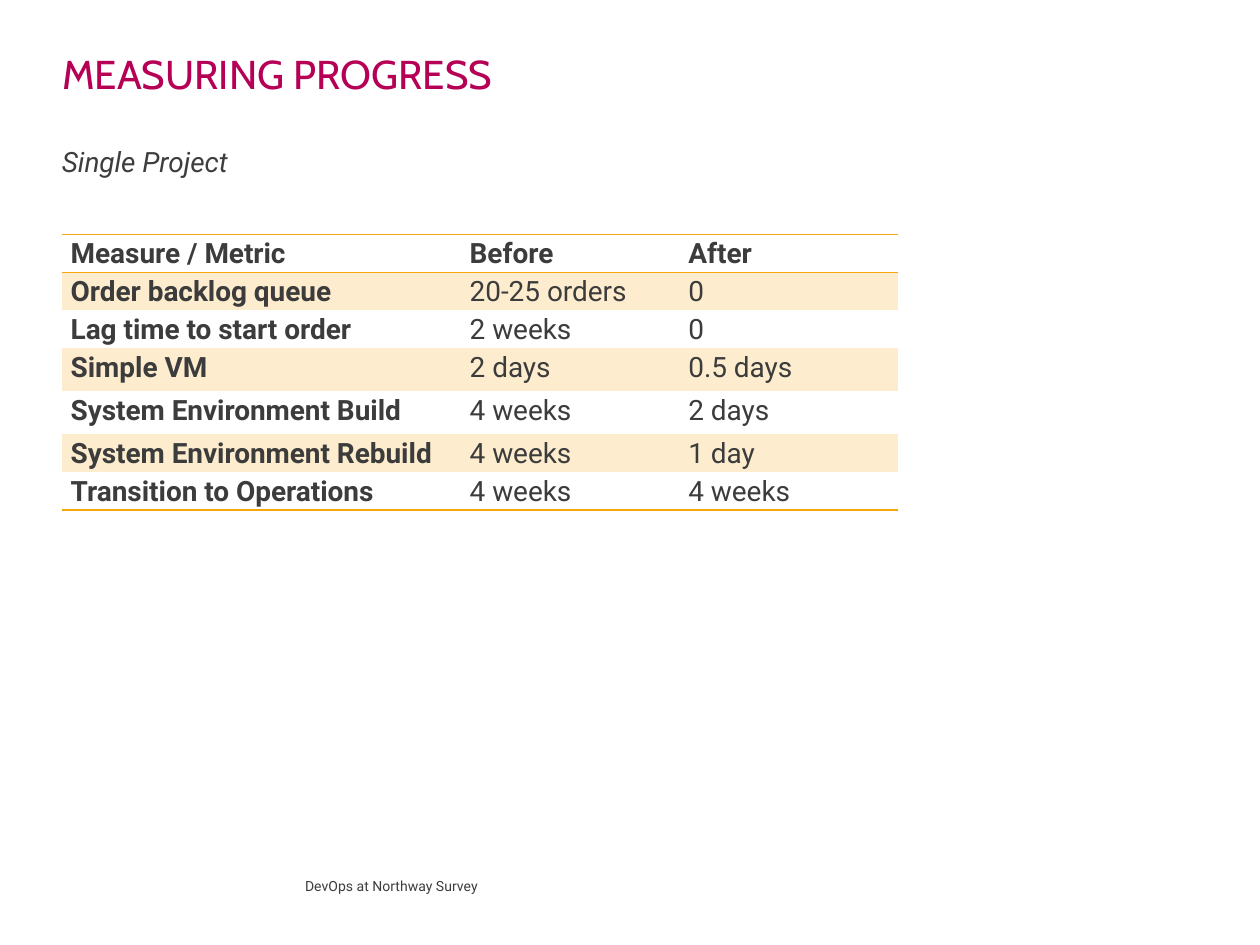
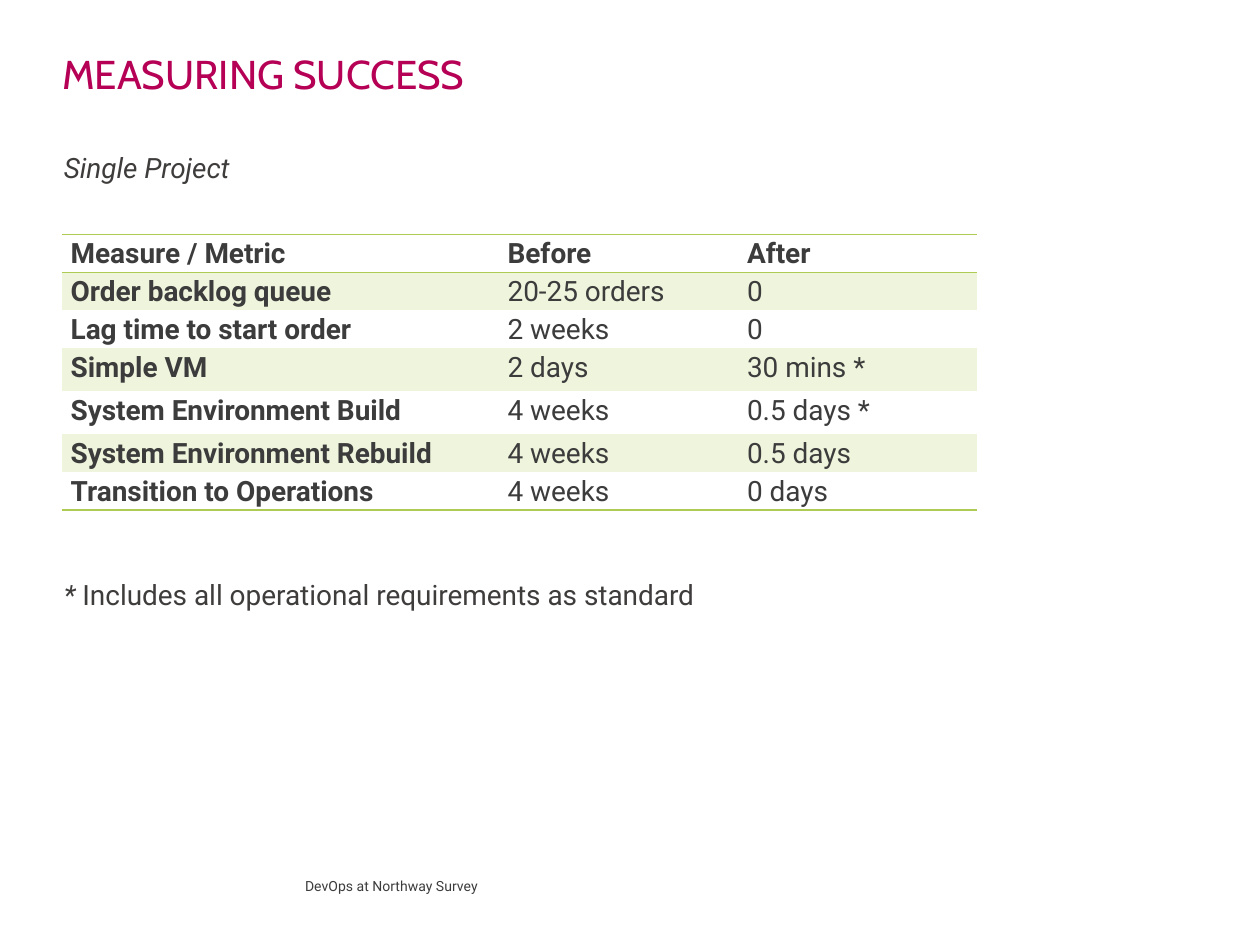
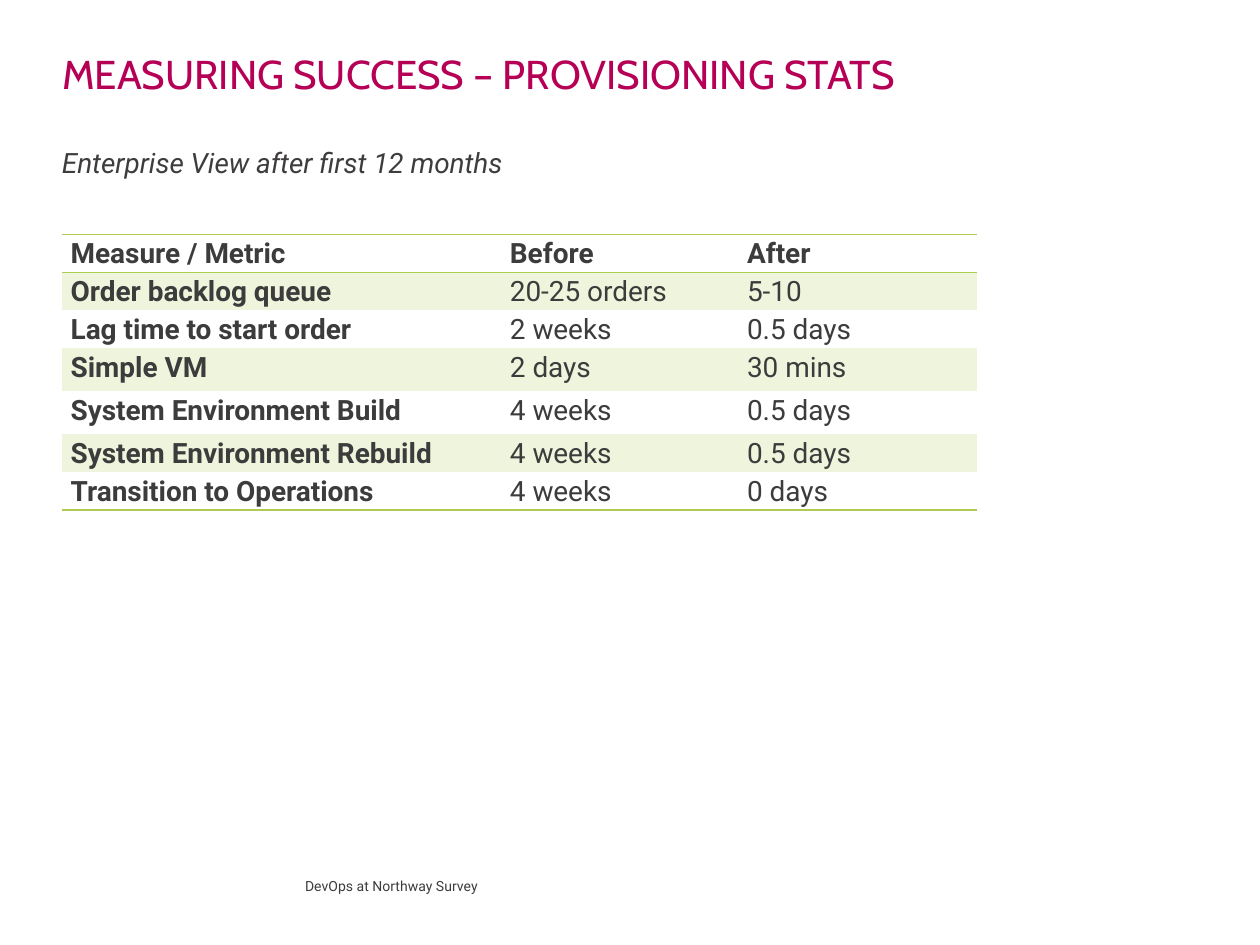
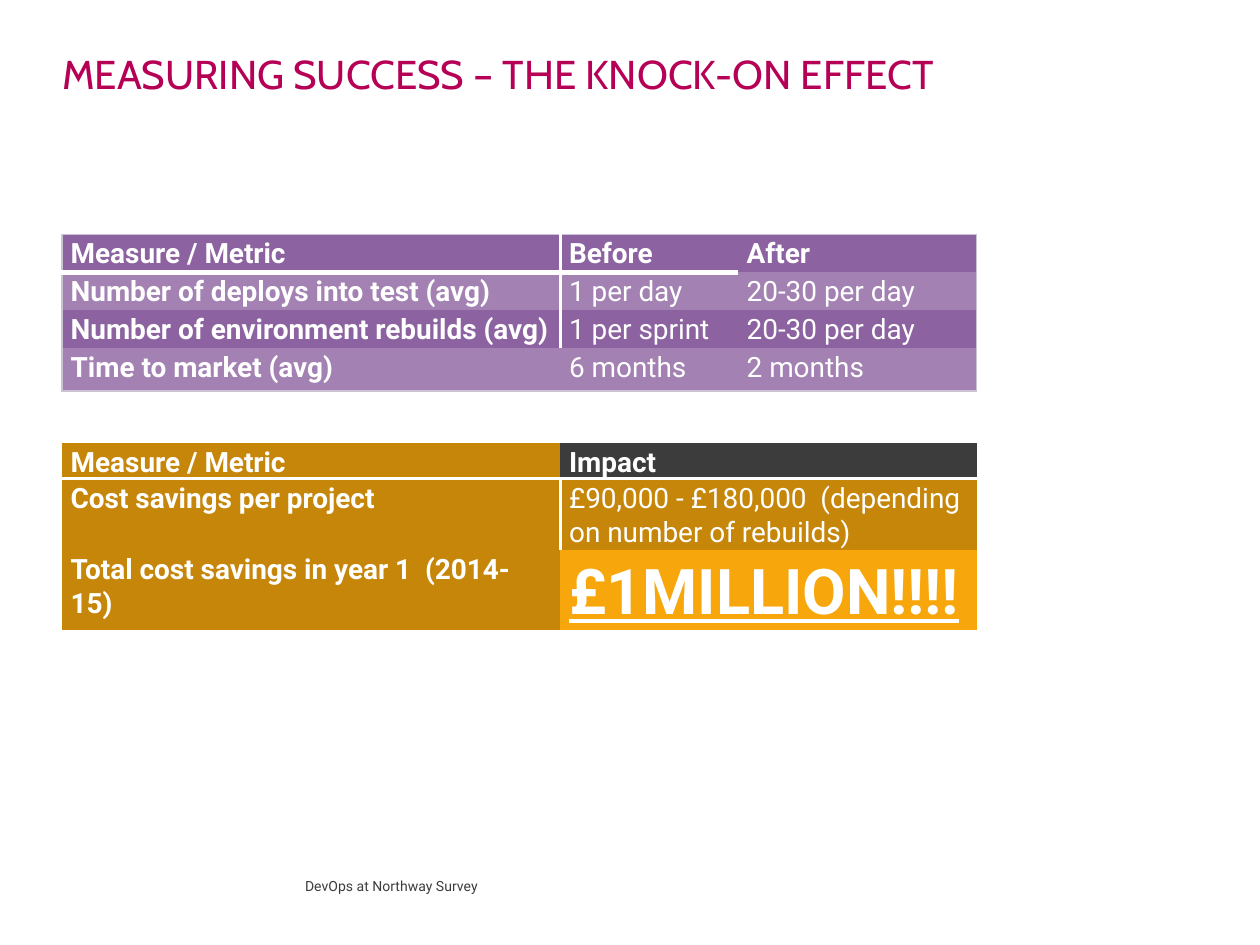
from dataclasses import dataclass, field

from lxml import etree
from pptx import Presentation
from pptx import util as u
from pptx.dml.color import RGBColor
from pptx.enum import text as t
from pptx.oxml.ns import qn

Pt = u.Pt

HUES = {
    "title": "B50056",
    "ink": "3C3C3C",
    "note": "3F3C3C",
    "white": "FFFFFF",
    "amber": "F7A70B",
    "cream": "FDEDCE",
    "ochre": "C68609",
    "lime": "AECC53",
    "mint": "EFF5DD",
    "plum": "8C63A0",
    "lilac": "A382B3",
    "frame": "CCC3D2",
}
HEAD_FONT, BODY_FONT = "Cabin", "Roboto"
LEFT = 35.4
TABLE_TOP = 133.9
NO_STYLE = "{2D5ABB26-0587-4C30-8999-92F81FD0307C}"
SIDES = {"l": "a:lnL", "r": "a:lnR", "t": "a:lnT", "b": "a:lnB"}
FOOTER = "DevOps at Northway Survey"
LABELS = (
    "Order backlog queue",
    "Lag time to start order",
    "Simple VM",
    "System Environment Build",
    "System Environment Rebuild",
    "Transition to Operations",
)
BEFORE = ("20-25 orders", "2 weeks", "2 days", "4 weeks", "4 weeks", "4 weeks")
HEADS = ("Measure / Metric", "Before", "After")


@dataclass(frozen=True)
class Run:
    text: str
    size: float = 16
    hue: str = "ink"
    font: str = BODY_FONT
    bold: bool = False
    slant: bool = False
    under: bool = False


@dataclass(frozen=True)
class Line:
    runs: tuple[Run, ...]
    gap: float = 0


@dataclass(frozen=True)
class Box:
    left: float
    top: float
    width: float
    height: float
    insets: tuple[float, float, float, float] = (0, 0, 0, 0)
    middle: bool = False


@dataclass(frozen=True)
class Edge:
    hue: str
    width: float


@dataclass(frozen=True)
class Grid:
    top: float
    cols: tuple[float, ...]
    rows: tuple[float, ...]
    texts: tuple[tuple[str, ...], ...]
    fills: tuple[tuple[str | None, ...], ...]
    edges: dict[tuple[int, int], dict[str, Edge]] = field(default_factory=dict)
    ink: str = "ink"
    big: tuple[int, int] | None = None


@dataclass(frozen=True)
class Page:
    title: str
    grids: tuple[Grid, ...]
    note: Box | None = None
    lines: tuple[Line, ...] = ()


def add_run(para, run: Run) -> None:
    part = para.add_run()
    part.text = run.text
    font = part.font
    font.name = run.font
    font.size = Pt(run.size)
    font.bold = run.bold
    font.italic = run.slant
    font.underline = run.under
    font.color.rgb = RGBColor.from_string(HUES[run.hue])


def fill_text(shape, box: Box, lines: tuple[Line, ...]) -> None:
    shape.left, shape.top = Pt(box.left), Pt(box.top)
    shape.width, shape.height = Pt(box.width), Pt(box.height)
    frame = shape.text_frame
    frame.word_wrap = True
    frame.auto_size = t.MSO_AUTO_SIZE.NONE
    frame.vertical_anchor = t.MSO_ANCHOR.MIDDLE if box.middle else t.MSO_ANCHOR.TOP
    (frame.margin_left, frame.margin_top,
     frame.margin_right, frame.margin_bottom) = map(Pt, box.insets)
    for index, line in enumerate(lines):
        para = frame.add_paragraph() if index else frame.paragraphs[0]
        para.alignment = t.PP_ALIGN.LEFT
        if line.gap:
            para.space_before = Pt(line.gap)
        for run in line.runs:
            add_run(para, run)


def add_box(slide, box: Box, lines: tuple[Line, ...]) -> None:
    fill_text(slide.shapes.add_textbox(0, 0, 0, 0), box, lines)


def paint_cell(cell, hue: str | None) -> None:
    if hue is None:
        cell.fill.background()
        return
    cell.fill.solid()
    cell.fill.fore_color.rgb = RGBColor.from_string(HUES[hue])


def edge_cell(cell, edges: dict[str, Edge]) -> None:
    props = cell._tc.get_or_add_tcPr()
    sides = [side for side in SIDES if side in edges]
    for place, side in enumerate(sides):
        edge = edges[side]
        line = etree.Element(qn(SIDES[side]), w=str(Pt(edge.width)))
        solid = etree.SubElement(line, qn("a:solidFill"))
        etree.SubElement(solid, qn("a:srgbClr"), val=HUES[edge.hue])
        props.insert(place, line)


def add_grid(slide, grid: Grid) -> None:
    frame = slide.shapes.add_table(
        len(grid.rows), len(grid.cols), Pt(LEFT), Pt(grid.top),
        Pt(sum(grid.cols)), Pt(sum(grid.rows)))
    table = frame.table
    table.first_row = table.horz_banding = False
    next(frame.element.iter(qn("a:tableStyleId"))).text = NO_STYLE
    for col, width in zip(table.columns, grid.cols):
        col.width = Pt(width)
    for row, height in zip(table.rows, grid.rows):
        row.height = Pt(height)
    for r, texts in enumerate(grid.texts):
        for c, words in enumerate(texts):
            cell = table.cell(r, c)
            big = (r, c) == grid.big
            cell.margin_left = cell.margin_right = Pt(5)
            cell.margin_top, cell.margin_bottom = Pt(0.7), Pt(0)
            para = cell.text_frame.paragraphs[0]
            para.line_spacing = 1.07
            if not big:
                para.space_after = Pt(8)
            add_run(para, Run(words, 36 if big else 16, grid.ink,
                              bold=big or r == 0 or c == 0, under=big))
            paint_cell(cell, grid.fills[r][c])
            edge_cell(cell, grid.edges.get((r, c), {}))


def stats_grid(hue: str, tint: str, cols: tuple[float, ...],
               after: tuple[str, ...]) -> Grid:
    rule = Edge(hue, 1)
    last = len(LABELS)
    edges = {}
    for c in range(len(cols)):
        edges[0, c] = {"t": rule, "b": rule}
        edges[last, c] = {"b": rule}
    return Grid(
        TABLE_TOP, cols, (21.7, 21.7, 21.7, 24.5, 24.5, 21.7, 21.7),
        (HEADS, *zip(LABELS, BEFORE, after)),
        tuple((tint if r % 2 else None,) * len(cols) for r in range(last + 1)),
        edges)


def rate_grid() -> Grid:
    thin, rule, bar = Edge("frame", 0.75), Edge("white", 2), Edge("white", 3)
    edges = {(r, c): {} for r in range(4) for c in range(3)}
    for r in range(4):
        edges[r, 0]["l"] = edges[r, 2]["r"] = thin
        if r < 3:
            edges[r, 0]["r"] = rule
    for c in range(3):
        edges[0, c]["t"] = edges[3, c]["b"] = thin
        if c < 2:
            edges[0, c]["b"] = bar
    return Grid(
        TABLE_TOP, (284.8, 101.5, 136.5), (21.7, 21.7, 21.7, 24.5),
        (HEADS,
         ("Number of deploys into test (avg)", "1 per day", "20-30 per day"),
         ("Number of environment rebuilds (avg)", "1 per sprint", "20-30 per day"),
         ("Time to market (avg)", "6 months", "2 months")),
        tuple(("lilac" if r % 2 else "plum",) * 3 for r in range(4)),
        edges, "white")


def cost_grid() -> Grid:
    rule = Edge("white", 2)
    return Grid(
        253, (284.8, 238), (20, 40.7, 45.5),
        (("Measure / Metric", "Impact"),
         ("Cost savings per project",
          "£90,000 - £180,000  (depending on number of rebuilds)"),
         ("Total cost savings in year 1  (2014-15)", "£1MILLION!!!!")),
        (("ochre", "ink"), ("ochre", "ochre"), ("ochre", "amber")),
        {(0, 0): {"b": rule}, (0, 1): {"b": rule}, (1, 0): {"r": rule}},
        "white", big=(2, 1))


def note_box(left: float, top: float, height: float) -> Box:
    return Box(left, top, 648, height, (0, 0, 7.2, 141.8))


def note_line(words: str) -> Line:
    return Line((Run(words, hue="note", slant=True),))


PAGES = (
    Page("MEASURING PROGRESS",
         (stats_grid("amber", "cream", (228, 125, 124.5),
                     ("0", "0", "0.5 days", "2 days", "1 day", "4 weeks")),),
         note_box(LEFT, 82.8, 349), (note_line("Single Project"),)),
    Page("MEASURING SUCCESS",
         (stats_grid("lime", "mint", (249.7, 136.8, 136.5),
                     ("0", "0", "30 mins *", "0.5 days *", "0.5 days", "0 days")),),
         note_box(36.5, 86, 349),
         (note_line("Single Project"),
          Line((Run("*", hue="note", slant=True),
                Run(" Includes all operational requirements as standard",
                    hue="note")), 225))),
    Page("MEASURING SUCCESS – PROVISIONING STATS",
         (stats_grid("lime", "mint", (251, 135.5, 136.5),
                     ("5-10", "0.5 days", "30 mins", "0.5 days", "0.5 days",
                      "0 days")),),
         note_box(LEFT, 83, 363),
         (note_line("Enterprise View after first 12 months"),)),
    Page("MEASURING SUCCESS – THE KNOCK-ON EFFECT", (rate_grid(), cost_grid())),
)


def add_page(deck, page: Page) -> None:
    slide = deck.slides.add_slide(deck.slide_layouts.get_by_name("Title Only"))
    fill_text(slide.shapes.title, Box(35.6, 28, 648, 32),
              (Line((Run(page.title, 23, "title", HEAD_FONT),)),))
    add_box(slide, Box(174.3, 492.3, 228, 28, (0, 3.6, 7.2, 3.6), True),
            (Line((Run(FOOTER, 8),)),))
    for grid in page.grids:
        add_grid(slide, grid)
    if page.note:
        add_box(slide, page.note, page.lines)


def main() -> None:
    deck = Presentation()
    deck.slide_width, deck.slide_height = Pt(720), Pt(540)
    for page in PAGES:
        add_page(deck, page)
    deck.save("out.pptx")


if __name__ == "__main__":
    main()
